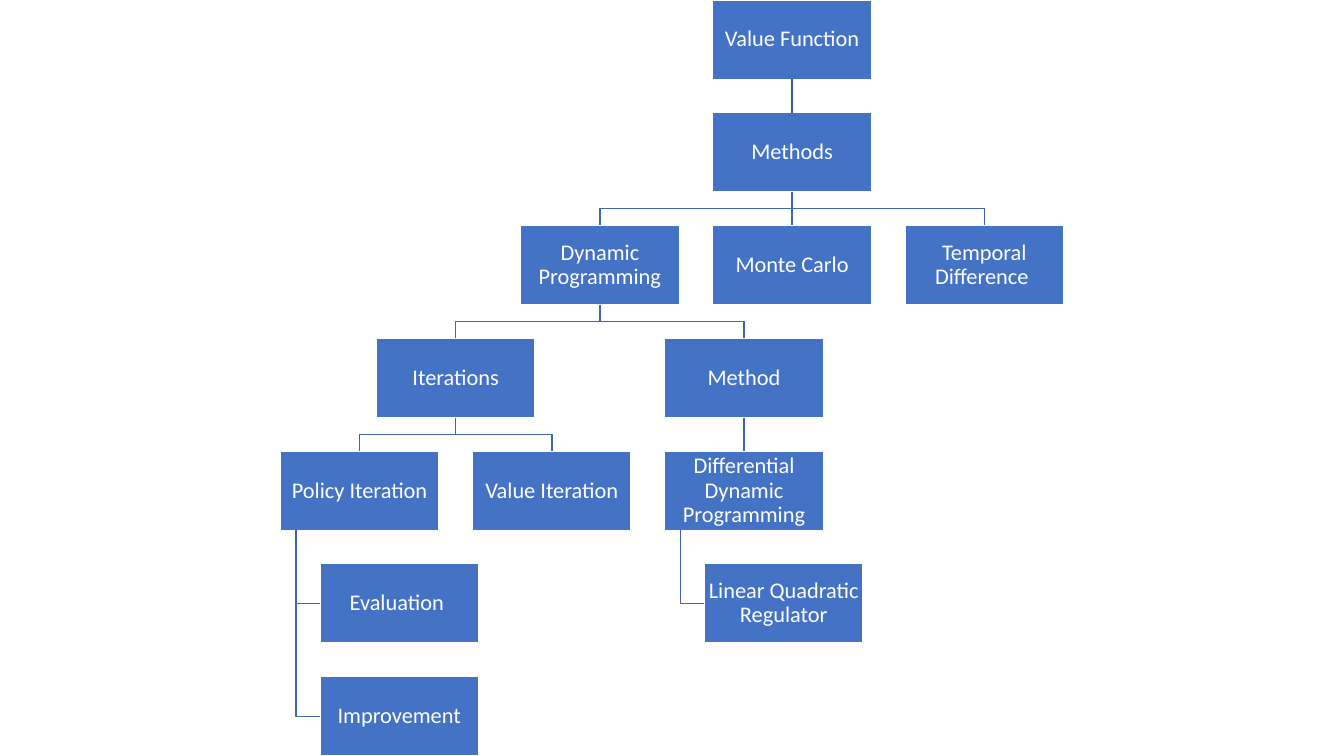
from lxml import etree
from pptx import Presentation
from pptx.dml.color import RGBColor
from pptx.enum.shapes import MSO_CONNECTOR as Connector, MSO_SHAPE as Shape
from pptx.enum.text import MSO_ANCHOR as Anchor, PP_ALIGN as Align
from pptx.oxml.ns import qn
from pptx.util import Inches, Pt

COLORS = {"box": "4472C4", "white": "FFFFFF", "link": "3E67B2", "root_link": "365B9D"}

presentation = Presentation()
presentation.slide_width = Inches(13.33)
presentation.slide_height = Inches(7.5)
slide = presentation.slides.add_slide(presentation.slide_layouts[6])

LEVELS = 7
BOX_HEIGHT = presentation.slide_height / (LEVELS + 0.42 * (LEVELS - 1))
BOX_WIDTH = 2 * BOX_HEIGHT
ROW_STEP = 1.42 * BOX_HEIGHT
COLUMN_STEP = 1.21 * BOX_WIDTH
LAST_COLUMN = 3.25
MARGIN = (presentation.slide_width - LAST_COLUMN * COLUMN_STEP - BOX_WIDTH) / 2
INDENT = 0.25 * BOX_WIDTH


def write_text(shape, text, size=16, font="Calibri", color="white"):
    frame = shape.text_frame
    frame.word_wrap = True
    frame.vertical_anchor = Anchor.MIDDLE
    frame.margin_left = frame.margin_right = Inches(0.01)
    frame.margin_top = frame.margin_bottom = Inches(0.01)
    paragraph = frame.paragraphs[0]
    paragraph.alignment = Align.CENTER
    paragraph.line_spacing = 0.9
    run = paragraph.add_run()
    run.text = text
    run.font.size = Pt(size)
    run.font.name = font
    run.font.color.rgb = RGBColor.from_string(COLORS[color])


def style_line(line, color):
    line.color.rgb = RGBColor.from_string(COLORS[color])
    line.width = Pt(1)


# text, column, level, parent, hanging
nodes = [
    ("Value Function", 2.25, 0, None, False),
    ("Methods", 2.25, 1, "Value Function", False),
    ("Dynamic Programming", 1.25, 2, "Methods", False),
    ("Monte Carlo", 2.25, 2, "Methods", False),
    ("Temporal Difference ", LAST_COLUMN, 2, "Methods", False),
    ("Iterations", 0.5, 3, "Dynamic Programming", False),
    ("Method", 2, 3, "Dynamic Programming", False),
    ("Policy Iteration", 0, 4, "Iterations", False),
    ("Value Iteration", 1, 4, "Iterations", False),
    ("Differential Dynamic Programming", 2, 4, "Method", False),
    ("Evaluation ", 0, 5, "Policy Iteration", True),
    ("Improvement", 0, 6, "Policy Iteration", True),
    ("Linear Quadratic Regulator", 2, 5, "Differential Dynamic Programming", True),
]

boxes = {}
for text, column, level, parent, hanging in nodes:
    left = MARGIN + column * COLUMN_STEP + hanging * INDENT
    box = slide.shapes.add_shape(
        Shape.RECTANGLE, round(left), round(level * ROW_STEP), round(BOX_WIDTH), round(BOX_HEIGHT)
    )
    box.shadow.inherit = False
    box.fill.solid()
    box.fill.fore_color.rgb = RGBColor.from_string(COLORS["box"])
    style_line(box.line, "white")
    write_text(box, text)
    boxes[text] = box

for text, column, level, parent, hanging in nodes[1:]:
    child, source = boxes[text], boxes[parent]
    bottom = source.top + source.height
    source_middle = source.left + source.width // 2
    child_middle = child.left + child.width // 2

    if child_middle == source_middle:
        connector = slide.shapes.add_connector(
            Connector.STRAIGHT, source_middle, bottom, child_middle, child.top
        )
        connector.begin_connect(source, 2)
        connector.end_connect(child, 0)
        etree.SubElement(connector._element.spPr, qn("a:effectLst"))
        style_line(connector.line, "root_link" if level == 1 else "link")
        continue

    if hanging:
        stem = source.left + round(0.1 * BOX_WIDTH)
        child_center = child.top + child.height // 2
        points = [(stem, bottom), (stem, child_center), (child.left, child_center)]
    else:
        bend = (bottom + child.top) // 2
        points = [
            (source_middle, bottom), (source_middle, bend),
            (child_middle, bend), (child_middle, child.top),
        ]
    builder = slide.shapes.build_freeform(*points[0])
    builder.add_line_segments(points[1:], close=False)
    elbow = builder.convert_to_shape()
    elbow.shadow.inherit = False
    elbow.fill.background()
    style_line(elbow.line, "link")

presentation.save("out.pptx")
